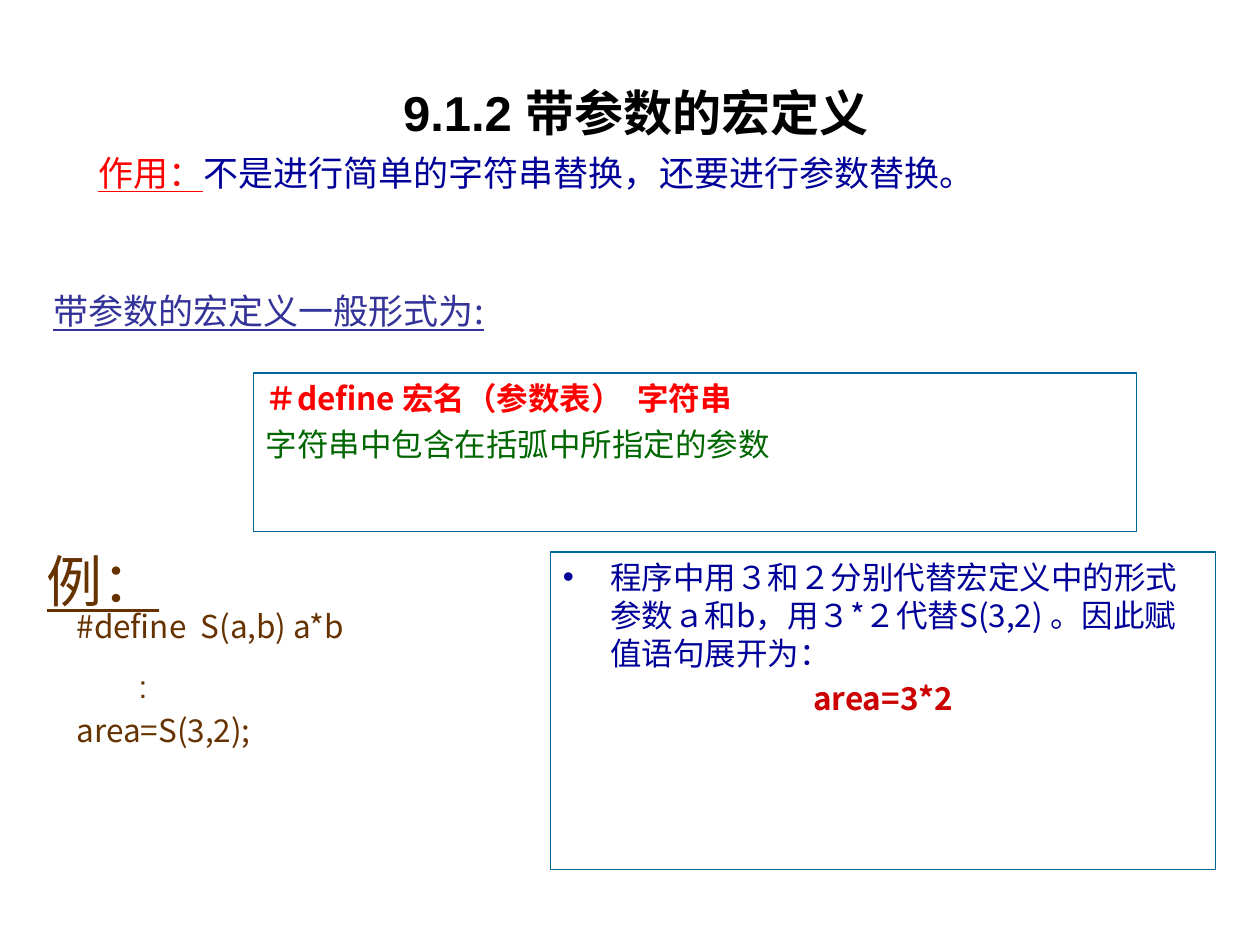
from lxml.etree import SubElement
from pptx import Presentation
from pptx.dml.color import RGBColor
from pptx.enum.shapes import MSO_SHAPE
from pptx.enum.text import MSO_ANCHOR, MSO_AUTO_SIZE, PP_ALIGN
from pptx.oxml.ns import qn
from pptx.util import Pt

SANS = "Noto Sans CJK SC"
BLUE, RED, BROWN = "000099", "FF0000", "663300"


def hue(code):
    return RGBColor.from_string(code)


class Deck:
    """Hold the style and the current slide, and add each kind of element."""

    base = {"name": SANS, "size": Pt(18), "bold": False, "underline": False}
    edge = "006699"

    def __init__(self):
        self.file = Presentation()
        self.file.slide_width, self.file.slide_height = Pt(720), Pt(540)
        self.slide = self.file.slides.add_slide(self.file.slide_layouts[5])

    def run(self, para, text, tint, **form):
        run = para.add_run()
        run.text = text
        form = {**self.base, **form}
        for key, val in form.items():
            setattr(run.font, key, val)
        run.font.color.rgb = hue(tint)
        east = SANS if form["name"] == "Arial" else form["name"]
        SubElement(run.font._element, qn("a:ea"), typeface=east)

    def para(self, frame, runs, left=0, hang=0, dot=None, **form):
        para = frame.paragraphs[0]
        if para.runs:
            para = frame.add_paragraph()
        for key, val in form.items():
            setattr(para, key, val)
        prop = para._p.get_or_add_pPr()
        prop.set("marL", str(Pt(left)))
        prop.set("indent", str(Pt(-hang)))
        if dot:
            tone = SubElement(prop, qn("a:buClr"))
            SubElement(tone, qn("a:srgbClr"), val=dot)
            SubElement(prop, qn("a:buFont"), typeface="Arial")
            SubElement(prop, qn("a:buChar"), char="•")
        for text, tint, style in runs:
            self.run(para, text, tint, **style)

    def fit(self, shape, box, **form):
        for key, val in zip(("left", "top", "width", "height"), box):
            setattr(shape, key, Pt(val))
        frame = shape.text_frame
        form = {"word_wrap": True, "auto_size": MSO_AUTO_SIZE.NONE,
                "vertical_anchor": MSO_ANCHOR.TOP, **form}
        for key, val in form.items():
            setattr(frame, key, val)
        return frame

    def title(self, box):
        return self.fit(self.slide.shapes.title, box,
                        vertical_anchor=MSO_ANCHOR.MIDDLE)

    def text(self, box, **form):
        shape = self.slide.shapes.add_textbox(*map(Pt, box))
        return self.fit(shape, box, **form)

    def panel(self, box):
        shape = self.slide.shapes.add_shape(MSO_SHAPE.RECTANGLE, *map(Pt, box))
        shape.shadow.inherit = False
        shape.fill.background()
        shape.line.color.rgb = hue(self.edge)
        shape.line.width = Pt(0.75)
        return self.fit(shape, box)


def main():
    deck = Deck()
    mid, side = PP_ALIGN.CENTER, PP_ALIGN.LEFT
    big = {"size": Pt(20)}
    line = {"size": Pt(20), "underline": True}
    bold = {"bold": True}

    head = deck.title((25.2, 31.7, 666, 58.3))
    deck.para(head, [
        (" ", "000000", {"name": "Arial", "size": Pt(36)}),
        ("9.1.2 带参数的宏定义", "000000",
         {"name": "Arial", "size": Pt(28), "bold": True}),
    ], alignment=mid)

    use = deck.text((31, 82.8, 629.3, 73.4))
    deck.para(use, [
        ("作用：", RED, line),
        ("不是进行简单的字符串替换，还要进行参数替换。", BLUE, big),
    ], left=18, space_before=Pt(5))

    form = deck.text((14.4, 162, 578.2, 45.4))
    deck.para(form, [("带参数的宏定义一般形式为:", "333399", line)],
              left=9, space_before=Pt(5))

    rule = deck.panel((144.7, 213.1, 504.7, 90.7))
    for text, tint, style in (
            ("＃define 宏名（参数表）  字符串", RED, bold),
            ("字符串中包含在括弧中所指定的参数", "006600", {})):
        deck.para(rule, [(text, tint, style)], alignment=side,
                  space_before=Pt(4.5))

    code = deck.text((36.7, 343.4, 300.2, 130.3))
    deck.para(code, [("#define  S(a,b) a*b", BROWN, {})])
    deck.para(code, [(":", BROWN, {"name": "Arial"})], left=35.5,
              space_before=Pt(12.7), space_after=Pt(3.4))
    deck.para(code, [("area=S(3,2);", BROWN, {})])

    note = deck.panel((314.6, 315.4, 380.2, 181.4))
    deck.para(note, [(
        "程序中用３和２分别代替宏定义中的形式参数ａ和b，"
        "用３*２代替S(3,2) 。因此赋值语句展开为：", BLUE, {})],
        left=27, hang=27, dot=BLUE, alignment=side, space_before=Pt(4.5))
    deck.para(note, [("area=3*2", "CC0000", bold)],
              alignment=mid, space_before=Pt(4.5))

    case = deck.text((19.4, 292.3, 78.5, 61.9), word_wrap=False,
                     auto_size=MSO_AUTO_SIZE.SHAPE_TO_FIT_TEXT,
                     margin_top=Pt(12.2))
    deck.para(case, [("例：", BROWN, {
        "name": "Noto Sans CJK JP", "size": Pt(32), "underline": True})],
        alignment=mid, line_spacing=1.2, space_before=Pt(2))

    deck.file.save("out.pptx")


if __name__ == "__main__":
    main()
